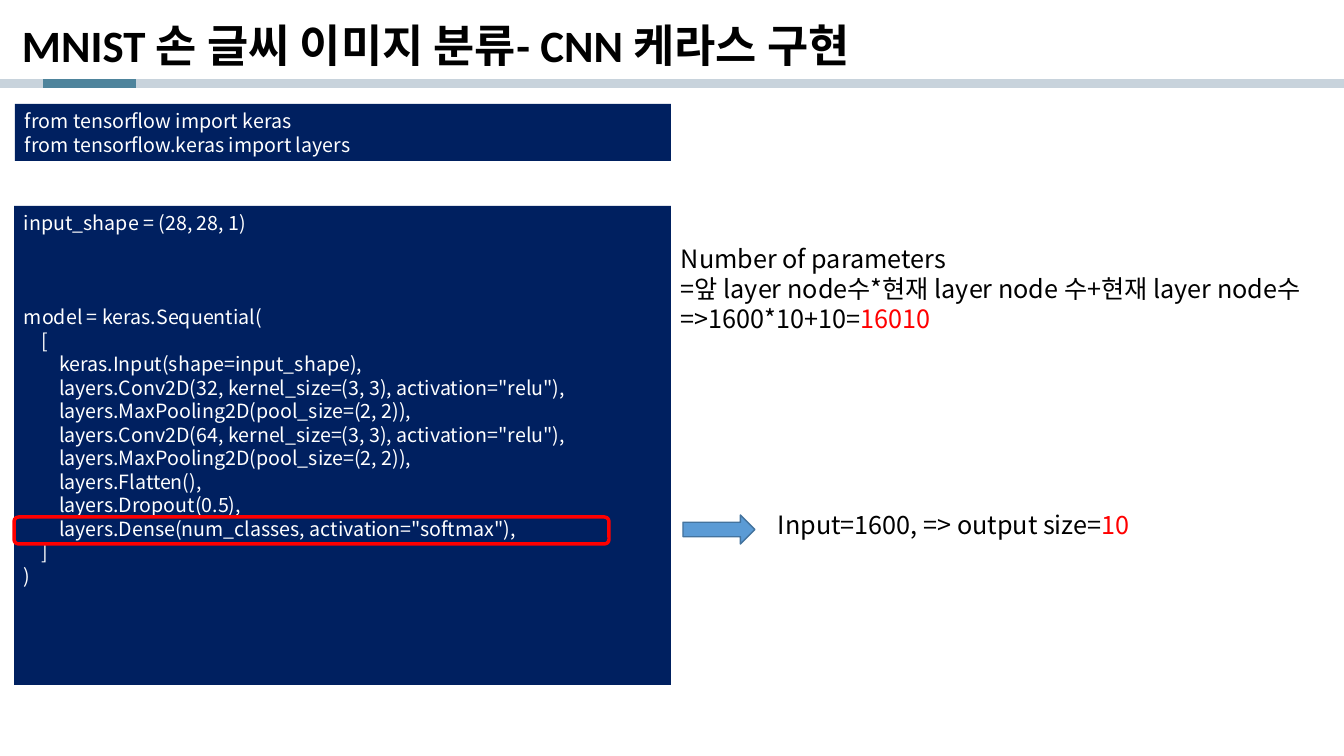
from lxml.etree import SubElement
from pptx import Presentation
from pptx.dml.color import RGBColor
from pptx.enum.shapes import MSO_SHAPE as SHAPE
from pptx.enum.text import MSO_ANCHOR as ANCHOR, PP_ALIGN as ALIGN
from pptx.oxml.ns import qn
from pptx.util import Pt

PX = 914400 / 100.8
COLORS = {
    "black": "000000", "white": "FFFFFF", "navy": "002060", "red": "FF0000",
    "band": "C8D3DC", "teal": "4E849C", "blue": "5B9BD5", "blue_edge": "43739E",
}
SANS = "Noto Sans CJK KR"

prs = Presentation()
prs.slide_width, prs.slide_height = round(1344 * PX), round(756 * PX)
s = prs.slides.add_slide(prs.slide_layouts[6])


def add_box(kind, box, fill=None, line=None, width=1):
    sp = s.shapes.add_shape(kind, *[round(v * PX) for v in box])
    sp.shadow.inherit = False
    if fill:
        sp.fill.solid()
        sp.fill.fore_color.rgb = RGBColor.from_string(COLORS[fill])
    else:
        sp.fill.background()
    if line:
        sp.line.color.rgb = RGBColor.from_string(COLORS[line])
        sp.line.width = Pt(width)
    else:
        sp.line.fill.background()
    return sp


def write(sp, lines, size, color, spacing, font=SANS, bold=False):
    tf = sp.text_frame
    tf.word_wrap = True
    tf.vertical_anchor = ANCHOR.TOP
    for i, (text, highlight) in enumerate(lines):
        p = tf.paragraphs[0] if i == 0 else tf.add_paragraph()
        p.alignment = ALIGN.LEFT
        p.line_spacing = spacing
        p.font.name, p.font.size, p.font.bold = font, Pt(size), bold
        p.font.color.rgb = RGBColor.from_string(COLORS[color])
        SubElement(p._p.pPr.find(qn("a:defRPr")), qn("a:ea"), typeface=SANS)
        p.add_run().text = text
        if highlight:
            r = p.add_run()
            r.text = highlight
            r.font.color.rgb = RGBColor.from_string(COLORS["red"])
    return tf


add_box(SHAPE.RECTANGLE, (0, 79, 1344, 9), "band")
add_box(SHAPE.RECTANGLE, (43, 79, 93, 9), "teal")

title = s.shapes.add_textbox(*[round(v * PX) for v in (6, 9, 1333, 78)])
tf = write(title, [("MNIST 손 글씨 이미지 분류- CNN 케라스 구현", "")],
           32, "black", 0.9, "Calibri", True)
tf.vertical_anchor = ANCHOR.MIDDLE
tf.margin_left = round(16 * PX)

imports = """from tensorflow import keras
from tensorflow.keras import layers"""

model = """input_shape = (28, 28, 1)
model = keras.Sequential(
    [
        keras.Input(shape=input_shape),
        layers.Conv2D(32, kernel_size=(3, 3), activation="relu"),
        layers.MaxPooling2D(pool_size=(2, 2)),
        layers.Conv2D(64, kernel_size=(3, 3), activation="relu"),
        layers.MaxPooling2D(pool_size=(2, 2)),
        layers.Flatten(),
        layers.Dropout(0.5),
        layers.Dense(num_classes, activation="softmax"),
    ]
)"""

for code, box in ((imports, (15, 104, 656, 57)), (model, (14, 206, 657, 479))):
    sp = add_box(SHAPE.RECTANGLE, box, "navy")
    tf = write(sp, [(line, "") for line in code.split("\n")], 14, "white", Pt(16.8))
tf.paragraphs[1].space_before = Pt(3 * 16.8)

add_box(SHAPE.ROUNDED_RECTANGLE, (14, 517, 595, 27), line="red", width=2.5)
add_box(SHAPE.RIGHT_ARROW, (683, 515, 72, 29), "blue", "blue_edge")

notes = [
    ((768, 504, 388, 40), [("Input=1600, => output size=", "10")]),
    ((671, 238, 673, 132), [
        ("Number of parameters", ""),
        ("=앞 layer node수*현재 layer node 수+현재 layer node수", ""),
        ("=>1600*10+10=", "16010"),
    ]),
]
for box, lines in notes:
    sp = s.shapes.add_textbox(*[round(v * PX) for v in box])
    write(sp, lines, 18, "black", Pt(21.6))

prs.save("out.pptx")
